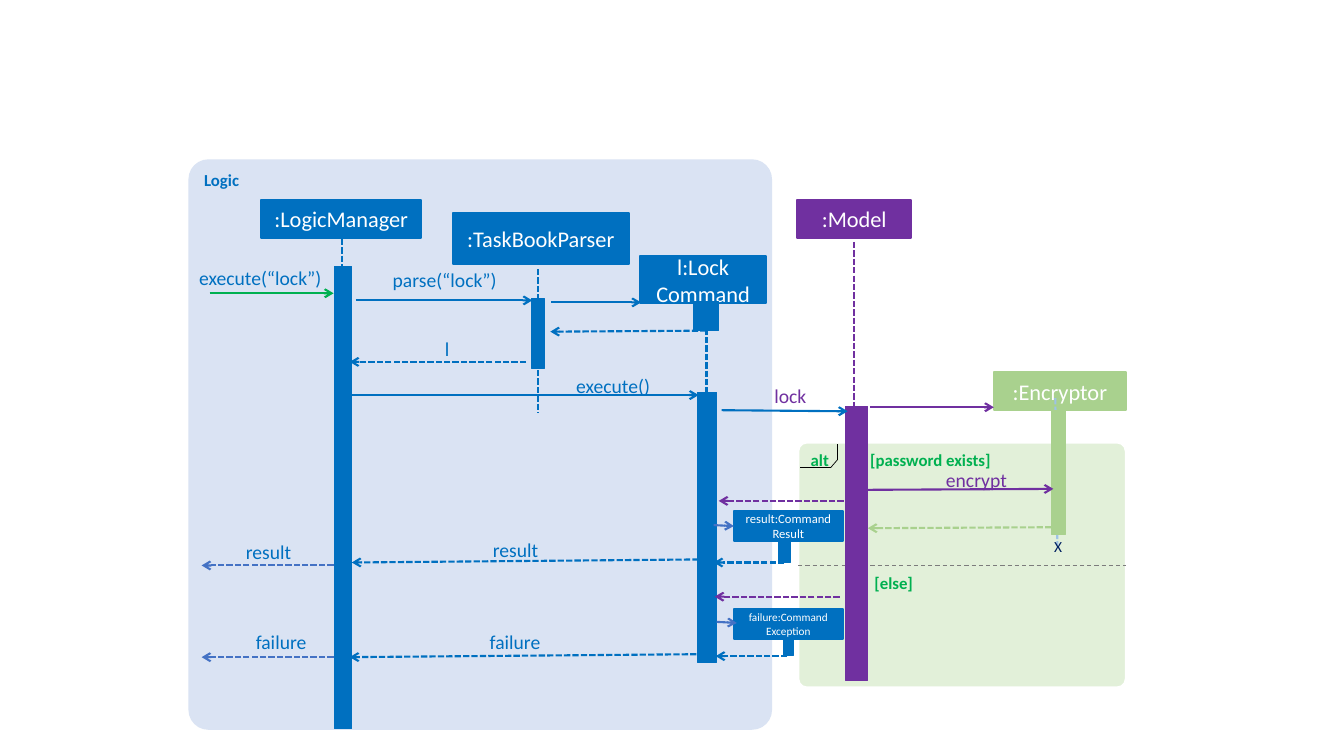
from dataclasses import dataclass
from itertools import pairwise

from lxml import etree
from pptx import Presentation
from pptx.dml.color import RGBColor
from pptx.enum.dml import MSO_LINE
from pptx.enum.shapes import MSO_CONNECTOR, MSO_SHAPE
from pptx.enum.text import MSO_ANCHOR, PP_ALIGN
from pptx.oxml.ns import qn
from pptx.util import Pt

RECTANGLE, ROUNDED = MSO_SHAPE.RECTANGLE, MSO_SHAPE.ROUNDED_RECTANGLE
STRAIGHT = MSO_CONNECTOR.STRAIGHT
SHORT_DASH, LONG_DASH = MSO_LINE.SQUARE_DOT, MSO_LINE.DASH
LEFT, CENTER, RIGHT = PP_ALIGN.LEFT, PP_ALIGN.CENTER, PP_ALIGN.RIGHT
TOP, MIDDLE = MSO_ANCHOR.TOP, MSO_ANCHOR.MIDDLE

FONT = "Calibri"
COLORS = {
    "logic": "0070C0", "logic panel": "DAE3F3", "outer": "4472C4",
    "model": "7030A0", "encryptor": "A9D18E", "encryptor life": "9DC3E6",
    "alt": "00B050", "alt panel": "E2F0D9", "divider": "7C7C7C",
    "white": "FFFFFF", "black": "000000", "end": "002060",
}


@dataclass
class Box:
    left: float
    top: float
    width: float
    height: float
    color: str = "logic"
    text: str = ""
    size: float = 16


@dataclass
class Line:
    x1: float
    y1: float
    x2: float
    y2: float
    color: str = "logic"


@dataclass
class Label:
    text: str
    left: float
    top: float
    width: float
    color: str = "logic"


LOGIC_PANEL = Box(134.6, 113.8, 416.9, 407.5, "logic panel")
ALT_PANEL = Box(570.2, 316.1, 234, 175, "alt panel")
HEADS = [
    Box(186.5, 142.6, 114.5, 27.4, text=":LogicManager"),
    Box(323.3, 151.9, 126, 36.7, text=":TaskBookParser"),
    Box(457.2, 182.9, 90, 33.8, text="l:Lock Command"),
    Box(569.5, 142.6, 81.4, 27.4, "model", ":Model"),
    Box(709.9, 265.7, 94.3, 27.4, "encryptor", ":Encryptor"),
    Box(524.2, 365, 77.8, 21.6, text="result:Command Result", size=9),
    Box(524.2, 434.9, 77.8, 21.6, text="failure:Command Exception", size=8),
]
LIFELINES = [
    Line(244.1, 170.6, 244.1, 375.1),
    Line(384.5, 192.2, 384.5, 294.5),
    Line(504.7, 216.7, 504.7, 294.5),
    Line(505.4, 280.1, 503.3, 396),
    Line(609.8, 172.8, 609.8, 396, "model"),
    Line(753.8, 284.4, 755.3, 389.5, "encryptor life"),
]
ACTIVATIONS = [
    Box(239, 190.1, 12.2, 330.5),
    Box(379.4, 213.1, 9.4, 49.7),
    Box(495.4, 215.3, 18, 20.9),
    Box(498.2, 280.1, 13.7, 193),
    Box(604.1, 290.2, 15.8, 195.8, "model"),
    Box(751, 293, 10.1, 88.6, "encryptor"),
    Box(555.8, 385.9, 8.6, 15.8),
    Box(559.4, 456.5, 7.2, 11.5),
]
CALLS = [
    Line(149.8, 209.5, 238.3, 209.5, "alt"),
    Line(254.2, 214.6, 380.2, 214.6),
    Line(393.8, 216, 457.9, 216),
    Line(239, 282.2, 499, 282.2),
    Line(515.5, 293, 605.5, 293.8),
    Line(621.4, 290.9, 709.9, 290.9, "model"),
    Line(619.2, 349.9, 752.4, 349.2, "model"),
    Line(509.8, 375.1, 524.2, 375.8, "outer"),
    Line(511.9, 444.2, 526.3, 445, "outer"),
]
REPLIES = [
    Line(504.7, 236.2, 393.1, 236.9),
    Line(375.8, 258.5, 249.8, 258.5),
    Line(751, 376.6, 619.9, 377.3, "encryptor"),
    Line(602.6, 357.8, 513.4, 357.8, "model"),
    Line(560.2, 401.8, 509.8, 401.8),
    Line(499, 399.6, 251.3, 401.8),
    Line(238.3, 403.9, 144, 403.9, "outer"),
    Line(599.8, 426.2, 510.5, 426.2, "model"),
    Line(562.3, 468.7, 511.2, 468.7),
    Line(497.5, 467.3, 249.8, 469.4),
    Line(238.3, 469.4, 144, 469.4, "outer"),
]
LABELS = [
    Label("execute(“lock”)", 117.4, 190.1, 112.3),
    Label("parse(“lock”)", 242.6, 191.5, 112.3),
    Label("l", 303.8, 240.5, 17.3),
    Label("execute()", 396.7, 267.1, 67.7),
    Label("lock", 463.7, 274.3, 112.3, "model"),
    Label("encrypt", 607, 334.1, 112.3, "model"),
    Label("result", 335.5, 384.5, 49),
    Label("result", 148.3, 385.9, 59.8),
    Label("failure", 337, 450, 49),
    Label("failure", 169.9, 450, 49),
]
ALT_CORNER = [(598.3, 317.5), (598.3, 328.3), (593.3, 334.1), (571.7, 334.1)]


def rgb(name: str) -> RGBColor:
    return RGBColor.from_string(COLORS[name])


def write(paragraph, text: str, size: float, color: str, align=LEFT, bold=False) -> None:
    paragraph.alignment = align
    run = paragraph.add_run()
    run.text = text
    run.font.name, run.font.size, run.font.bold = FONT, Pt(size), bold
    run.font.color.rgb = rgb(color)


def draw_box(slide, box: Box, border: str = "", weight: float = 0, kind=RECTANGLE):
    shape = slide.shapes.add_shape(
        kind, Pt(box.left), Pt(box.top), Pt(box.width), Pt(box.height))
    shape.shadow.inherit = False
    shape.fill.solid()
    shape.fill.fore_color.rgb = rgb(box.color)
    if border:
        shape.line.color.rgb = rgb(border)
        shape.line.width = Pt(weight)
    else:
        shape.line.fill.background()
    if kind == ROUNDED:
        shape.adjustments[0] = 0.035
        shape.text_frame.vertical_anchor = TOP
    if box.text:
        shape.text_frame.vertical_anchor = MIDDLE
        write(shape.text_frame.paragraphs[0], box.text, box.size, "white", CENTER)
    return shape


def draw_line(slide, line: Line, weight: float = 1.5, dash=None, arrow=False) -> None:
    connector = slide.shapes.add_connector(
        STRAIGHT, Pt(line.x1), Pt(line.y1), Pt(line.x2), Pt(line.y2))
    connector.line.color.rgb = rgb(line.color)
    connector.line.width = Pt(weight)
    if dash:
        connector.line.dash_style = dash
    properties = connector._element.spPr
    if arrow:
        etree.SubElement(properties.find(qn("a:ln")), qn("a:tailEnd"), type="arrow")
    etree.SubElement(properties, qn("a:effectLst"))


def draw_label(slide, label: Label) -> None:
    frame = slide.shapes.add_textbox(
        Pt(label.left), Pt(label.top), Pt(label.width), Pt(17.3)).text_frame
    frame.word_wrap = True
    frame.margin_left = frame.margin_right = frame.margin_top = frame.margin_bottom = 0
    write(frame.paragraphs[0], label.text, 14, label.color, RIGHT)


def draw_panels(slide) -> None:
    logic = draw_box(slide, LOGIC_PANEL, kind=ROUNDED)
    write(logic.text_frame.paragraphs[0], "Logic", 12, "logic", bold=True)

    alt = draw_box(slide, ALT_PANEL, "white", 1.5, ROUNDED).text_frame
    first, second = alt.paragraphs[0], alt.add_paragraph()
    tabs = etree.SubElement(first._p.get_or_add_pPr(), qn("a:tabLst"))
    etree.SubElement(tabs, qn("a:tab"), pos=str(Pt(42.5)), algn="l")
    write(first, "alt\t[password exists]", 12, "alt", bold=True)
    second._p.get_or_add_pPr().set("marL", str(Pt(45.5)))
    second.space_before = Pt(73)
    write(second, "[else]", 12, "alt", bold=True)


def main() -> None:
    presentation = Presentation()
    presentation.slide_width, presentation.slide_height = Pt(960), Pt(540)
    slide = presentation.slides.add_slide(presentation.slide_layouts[6])

    # Panels and participants
    draw_panels(slide)
    for head in HEADS:
        draw_box(slide, head, head.color, 1.5)
    for lifeline in LIFELINES:
        draw_line(slide, lifeline, dash=SHORT_DASH)
    draw_line(slide, Line(570.2, 403.9, 804.2, 403.9, "divider"), 0.75, LONG_DASH)
    for activation in ACTIVATIONS:
        draw_box(slide, activation, activation.color, 0.5)

    # Messages
    for call in CALLS:
        draw_line(slide, call, arrow=True)
    for reply in REPLIES:
        draw_line(slide, reply, dash=SHORT_DASH, arrow=True)
    for label in LABELS:
        draw_label(slide, label)

    # End of the encryptor and corner of the alt frame
    end = slide.shapes.add_textbox(Pt(745.9), Pt(380.2), Pt(20.2), Pt(20.9)).text_frame
    end.word_wrap = False
    write(end.paragraphs[0], "X", 11, "end")
    for start, stop in pairwise(ALT_CORNER):
        draw_line(slide, Line(*start, *stop, "black"), 0.5)

    presentation.save("out.pptx")


if __name__ == "__main__":
    main()
